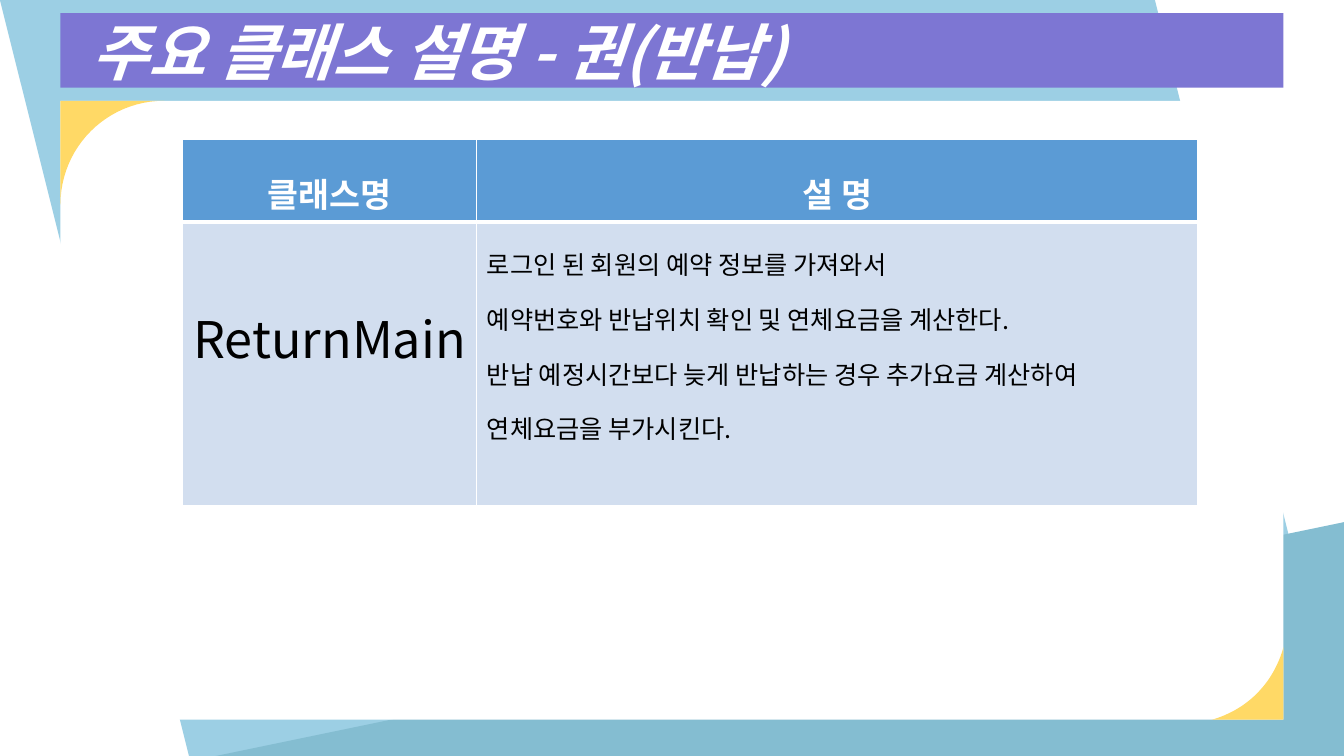
from lxml import etree
from pptx import Presentation
from pptx.dml.color import RGBColor
from pptx.enum import shapes, text
from pptx.oxml import ns
from pptx.util import Inches, Pt

FONT = "Noto Sans CJK KR"
HUES = {
    "sky": "9CCFE4", "sea": "84BDD1", "violet": "7D76D3", "white": "FFFFFF",
    "gold": "FFD966", "blue": "5B9BD5", "pale": "D2DEEF", "black": "000000",
}
HEADS = ["클래스명", "설 명"]
NAME = "ReturnMain"
LINES = [
    "로그인 된 회원의 예약 정보를 가져와서",
    "예약번호와 반납위치 확인 및 연체요금을 계산한다.",
    "반납 예정시간보다 늦게 반납하는 경우 추가요금 계산하여",
    "연체요금을 부가시킨다.",
]


def hue(name):
    return RGBColor.from_string(HUES[name])


def paint(shape, name):
    shape.fill.solid()
    shape.fill.fore_color.rgb = hue(name)
    shape.line.fill.background()
    shape.shadow.inherit = False


def block(host, kind, box, name):
    shape = host.add_shape(kind, *map(Inches, box))
    paint(shape, name)
    return shape


def flip(shape):
    shape._element.spPr.find(ns.qn("a:xfrm")).set("flipH", "1")


def write(para, words, size, color, bold=False, italic=False):
    run = para.add_run()
    run.text = words
    font = run.font
    font.name, font.size = FONT, Pt(size)
    font.bold, font.italic = bold, italic
    font.color.rgb = hue(color)
    east = etree.SubElement(run._r.get_or_add_rPr(), ns.qn("a:ea"))
    east.set("typeface", FONT)


# Blue backdrop
def backdrop(slide, box):
    left, top, wide, high = box
    flip(block(slide.shapes, shapes.MSO_SHAPE.PARALLELOGRAM, box, "sky"))
    slope = (left + 2.14, top + 5.18, wide - 2.14, high - 5.18)
    flip(block(slide.shapes, shapes.MSO_SHAPE.RIGHT_TRIANGLE, slope, "sea"))


# Title bar
def banner(slide, box):
    title = slide.shapes.title
    slide.shapes._spTree.append(title._element)
    title.left, title.top, title.width, title.height = map(Inches, box)
    title.fill.solid()
    title.fill.fore_color.rgb = hue("violet")
    frame = title.text_frame
    frame.auto_size = text.MSO_AUTO_SIZE.NONE
    frame.word_wrap = True
    frame.vertical_anchor = text.MSO_ANCHOR.MIDDLE
    frame.margin_left, frame.margin_right = Inches(0.31), Inches(0.1)
    frame.margin_top = frame.margin_bottom = Inches(0.05)
    para = frame.paragraphs[0]
    para.alignment = text.PP_ALIGN.LEFT
    write(para, "주요 클래스 설명 - 권(반납)", 44, "white", True, True)


def corner(host, tip, curve, steps=24):
    """Fill between a corner tip and a cubic curve, given as offsets from it."""
    dots = []
    for i in range(steps + 1):
        t = i / steps
        parts = ((1 - t) ** 3, 3 * t * (1 - t) ** 2, 3 * t * t * (1 - t), t ** 3)
        dots.append(tuple(
            Inches(tip[k] + sum(p * dot[k] for p, dot in zip(parts, curve)))
            for k in (0, 1)))
    pen = host.build_freeform(Inches(tip[0]), Inches(tip[1]))
    pen.add_line_segments(dots, close=True)
    paint(pen.convert_to_shape(), "gold")


# White panel with gold corners
def panel(slide, box):
    left, top, wide, high = box
    host = slide.shapes.add_group_shape().shapes
    block(host, shapes.MSO_SHAPE.RECTANGLE, box, "white")
    corner(host, (left, top), [(1.03, 0), (0.46, 0), (0, 0.46), (0, 1.03)])
    corner(host, (left + wide, top + high),
           [(-0.71, 0), (-0.36, -0.1), (-0.1, -0.36), (0, -0.72)])


def border(cell, head):
    rule = 3 if head else 1
    sides = {"lnL": 1, "lnR": 1, "lnT": 1 if head else 3, "lnB": rule}
    props = cell._tc.get_or_add_tcPr()
    for i, (side, width) in enumerate(sides.items()):
        line = etree.Element(ns.qn("a:" + side), w=str(Pt(width)))
        fill = etree.SubElement(line, ns.qn("a:solidFill"))
        etree.SubElement(fill, ns.qn("a:srgbClr"), val=HUES["white"])
        props.insert(i, line)


def fill_cell(cell, lines, size, space, align, head=False):
    cell.fill.solid()
    cell.fill.fore_color.rgb = hue("blue" if head else "pale")
    border(cell, head)
    frame = cell.text_frame
    for i, words in enumerate(lines):
        para = frame.add_paragraph() if i else frame.paragraphs[0]
        para.alignment, para.line_spacing = align, space
        write(para, words, size, "white" if head else "black", head)


# Class table
def classes(slide, box):
    left, top, wide, high = box
    grid = slide.shapes.add_table(2, 2, *map(Inches, box)).table
    first, head = 2.92, 0.82
    for col, width in zip(grid.columns, (first, wide - first)):
        col.width = Inches(width)
    for row, height in zip(grid.rows, (head, high - head)):
        row.height = Inches(height)
    mid = text.PP_ALIGN.CENTER
    for i, words in enumerate(HEADS):
        fill_cell(grid.cell(0, i), [words], 24, 1.5, mid, True)
    fill_cell(grid.cell(1, 0), [NAME], 36, 2.0, mid)
    fill_cell(grid.cell(1, 1), LINES, 18, 1.5, text.PP_ALIGN.LEFT)


def main():
    deck = Presentation()
    deck.slide_width, deck.slide_height = Inches(13.33), Inches(7.5)
    slide = deck.slides.add_slide(deck.slide_layouts[5])
    backdrop(slide, (0, 0, 13.33, 7.5))
    banner(slide, (0.6, 0.13, 12.13, 0.74))
    panel(slide, (0.6, 1, 12.13, 6.14))
    classes(slide, (1.81, 1.38, 10.07, 3.63))
    deck.save("out.pptx")


if __name__ == "__main__":
    main()
